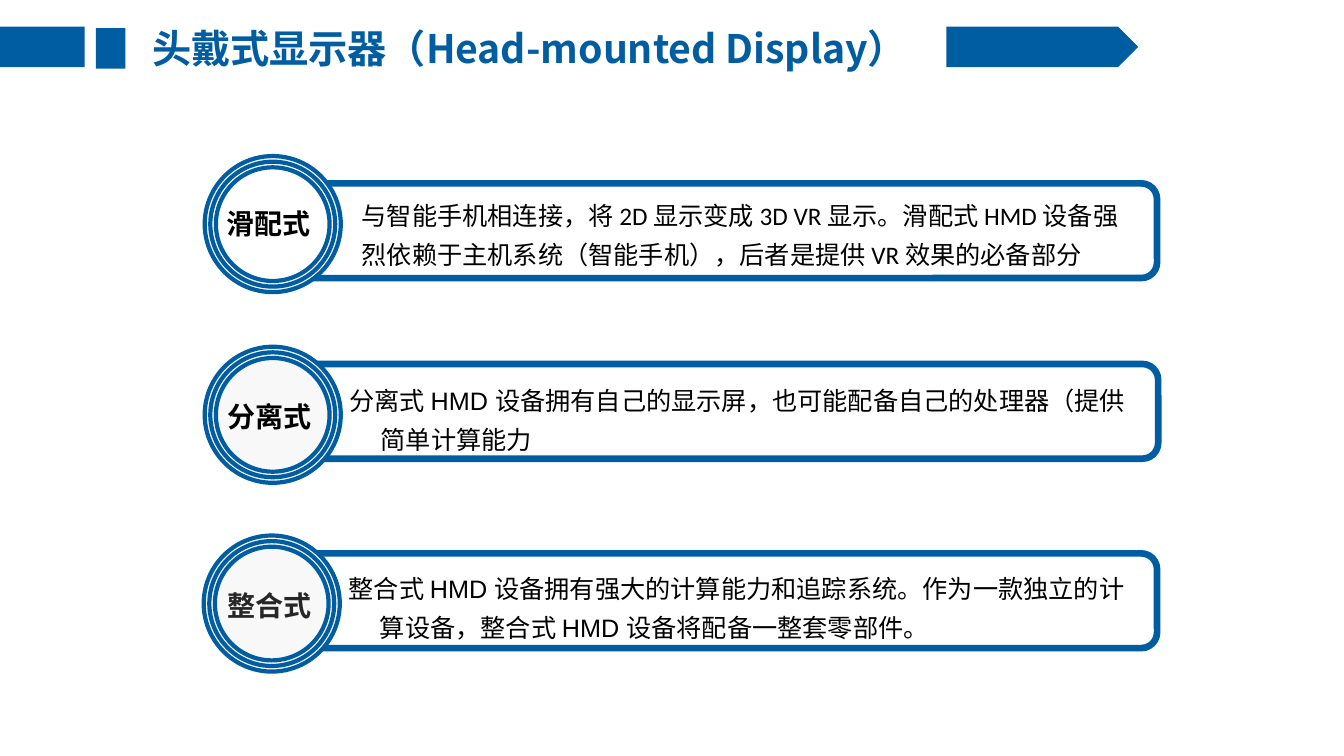
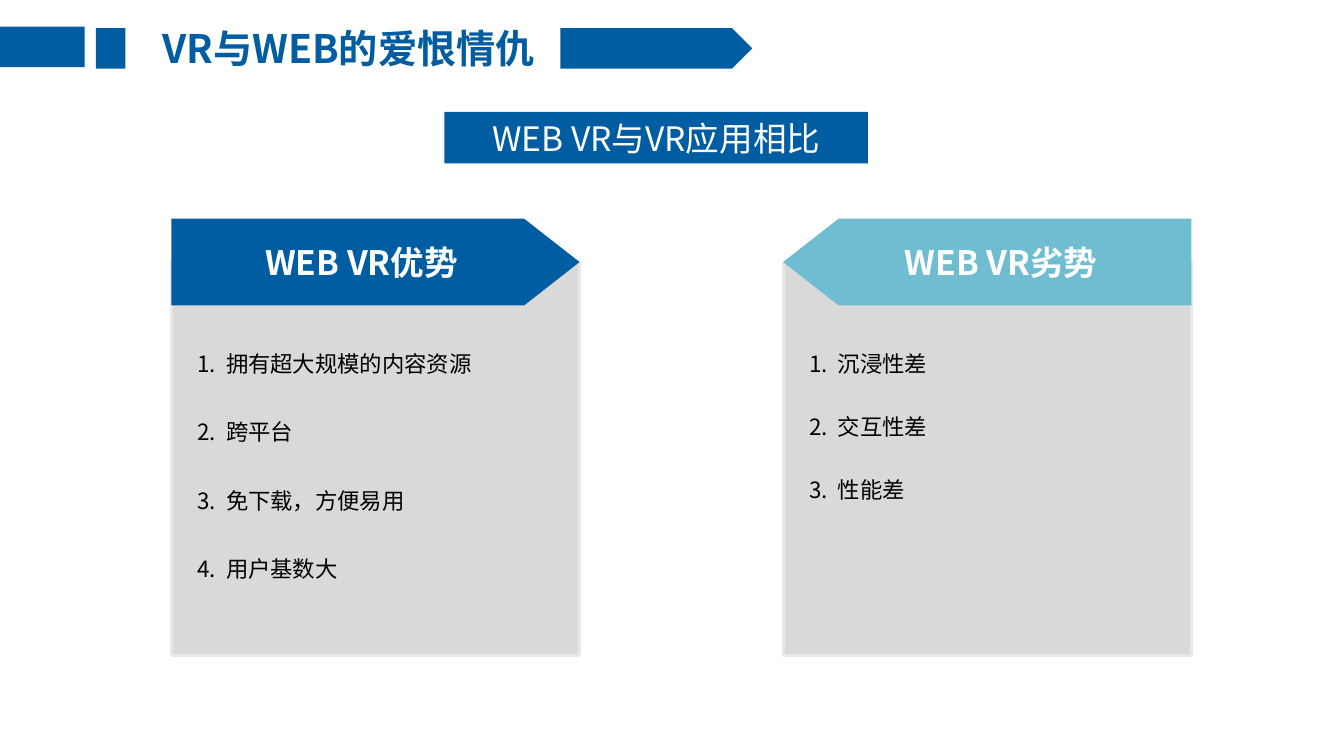
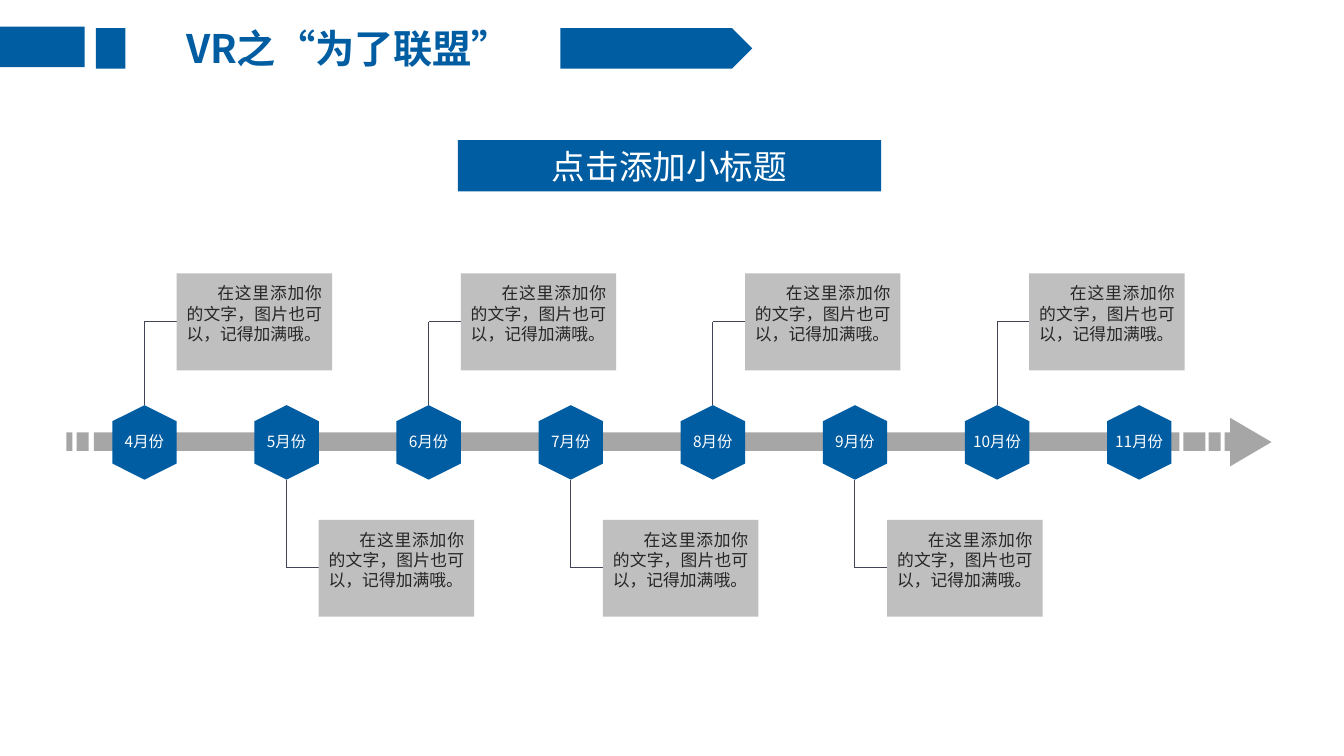
import pptx
import pptx.dml.color
import pptx.enum.shapes
import pptx.enum.text
import pptx.oxml.ns
import pptx.util
from itertools import pairwise
from lxml import etree

Pt = pptx.util.Pt
RGBColor = pptx.dml.color.RGBColor
SHAPE = pptx.enum.shapes.MSO_SHAPE
ALIGN = pptx.enum.text.PP_ALIGN
ANCHOR = pptx.enum.text.MSO_ANCHOR
qn = pptx.oxml.ns.qn

BLUE = RGBColor(0x00, 0x5D, 0xA2)
SKY = RGBColor(0x70, 0xBD, 0xD2)
WHITE = RGBColor(0xFF, 0xFF, 0xFF)
BLACK = RGBColor(0x00, 0x00, 0x00)
INK = RGBColor(0x26, 0x26, 0x26)
PALE = RGBColor(0xF8, 0xF8, 0xF8)
PANEL = RGBColor(0xD9, 0xD9, 0xD9)
PANEL_EDGE = RGBColor(0xE8, 0xE8, 0xE6)
CARD = RGBColor(0xBF, 0xBF, 0xBF)
AXIS = RGBColor(0xA6, 0xA6, 0xA6)
LEADER = RGBColor(0x41, 0x44, 0x55)
SANS = "Noto Sans CJK SC"


def write(box, text, *, size, color=BLACK, bold=False, font=SANS, align=ALIGN.LEFT,
          anchor=ANCHOR.TOP, top=3.6, line=None, gap=0, hang=0, first=0, numbered=False):
    """Put one paragraph per line of text into a box."""
    frame = box.text_frame
    frame.word_wrap = True
    frame.vertical_anchor = anchor
    frame.margin_left = frame.margin_right = Pt(7.2)
    frame.margin_top, frame.margin_bottom = Pt(top), Pt(3.6)
    for index, words in enumerate(text.split("\n")):
        para = frame.add_paragraph() if index else frame.paragraphs[0]
        para.alignment = align
        if line:
            para.line_spacing = line
        if index and gap:
            para.space_before = Pt(gap)
        properties = para._p.get_or_add_pPr()
        if hang or first:
            properties.set("marL", str(Pt(hang)))
            properties.set("indent", str(Pt(first - hang)))
        if numbered:
            etree.SubElement(properties, qn("a:buAutoNum"), type="arabicPeriod")
        span = para.add_run()
        span.text = words
        span.font.size = Pt(size)
        span.font.bold = bold
        span.font.color.rgb = color
        span.font.name = font
        etree.SubElement(span._r.get_or_add_rPr(), qn("a:ea"), typeface=SANS)


class Deck:
    def __init__(self):
        self.deck = pptx.Presentation()
        self.deck.slide_width, self.deck.slide_height = Pt(960), Pt(540)
        self.page = None

    def new_page(self, title, title_width, plate_left, plate_top):
        self.page = self.deck.slides.add_slide(self.deck.slide_layouts[6])
        self.shape(SHAPE.RECTANGLE, 0, 19, 60.5, 29, fill=BLUE)
        self.shape(SHAPE.RECTANGLE, 68.5, 20, 21, 29, fill=BLUE)
        self.shape(SHAPE.PENTAGON, plate_left, plate_top, 137, 29, fill=BLUE)
        self.text(title, 89.5, 13.7, title_width, 41, size=28, color=BLUE,
                  bold=True, align=ALIGN.CENTER)

    def shape(self, kind, left, top, width, height, fill=None, line=None, weight=1,
              rotation=0):
        shape = self.page.shapes.add_shape(kind, Pt(left), Pt(top), Pt(width), Pt(height))
        shape.shadow.inherit = False
        shape.rotation = rotation
        if fill is None:
            shape.fill.background()
        else:
            shape.fill.solid()
            shape.fill.fore_color.rgb = fill
        if line is None:
            shape.line.fill.background()
        else:
            shape.line.color.rgb = line
            shape.line.width = Pt(weight)
        return shape

    def text(self, text, left, top, width, height, **style):
        box = self.page.shapes.add_textbox(Pt(left), Pt(top), Pt(width), Pt(height))
        write(box, text, **style)

    def leader(self, *points):
        for start, end in pairwise(points):
            line = self.page.shapes.add_connector(
                pptx.enum.shapes.MSO_CONNECTOR.STRAIGHT, *map(Pt, start + end))
            line.line.color.rgb = LEADER
            line.line.width = Pt(0.75)
            etree.SubElement(line._element.spPr, qn("a:effectLst"))

    def subtitle(self, text, left, top):
        banner = self.shape(SHAPE.RECTANGLE, left, top, 302.5, 36.7, fill=BLUE)
        write(banner, text, size=24, color=WHITE, align=ALIGN.CENTER, anchor=ANCHOR.MIDDLE)

    def medallion(self, left, top, inner):
        for inset, fill in ((0, PALE), (4, inner), (8, None)):
            side = 97.2 - 2 * inset
            self.shape(SHAPE.OVAL, left + inset, top + inset, side, side, fill, BLUE, 3)

    def panel(self, left, heading, color, items, gap, flipped=False):
        self.shape(SHAPE.RECTANGLE, left, 187.2, 291.6, 281, PANEL, PANEL_EDGE, 2)
        banner = self.shape(SHAPE.PENTAGON, left, 156.2, 291.6, 62, fill=color)
        banner.adjustments[0] = 0.64
        if flipped:
            banner._element.spPr.find(qn("a:xfrm")).set("flipH", "1")
        write(banner, heading, size=24, color=WHITE, bold=True, align=ALIGN.CENTER,
              anchor=ANCHOR.MIDDLE)
        self.text("\n".join(items), left + 11.5, 240.5, 280, 195, size=16, line=1.3,
                  gap=gap, hang=20.5, numbered=True)

    def month(self, center, name):
        self.shape(SHAPE.HEXAGON, center - 26.6, 293, 53.2, 46, fill=BLUE, rotation=90)
        self.text(name, center - 28.5, 305.3, 57, 21, size=11, color=WHITE,
                  align=ALIGN.CENTER)

    def card(self, left, top, text):
        card = self.shape(SHAPE.RECTANGLE, left, top, 111, 69.2, fill=CARD)
        write(card, text, size=12, color=INK, align=ALIGN.JUSTIFY, top=6.9, first=22)


def headset_page(deck):
    deck.new_page("头戴式显示器（Head-mounted Display）", 577.5, 676, 19)
    hanging = dict(font="Arial", hang=22.3)
    rows = (
        # card left and top, circle left and top, circle fill, label left and top, ...
        (213, 131, 146.2, 111.5, WHITE, "滑配式", 154.9, 144, BLACK,
         "与智能手机相连接，将 2D 显示变成 3D VR 显示。滑配式 HMD 设备强烈依赖于主机系统"
         "（智能手机），后者是提供 VR 效果的必备部分", 251.3, 133.2, 562.5,
         dict(font="Calibri")),
        (213.8, 260, 146.2, 247.7, None, "分离式", 155.5, 281.5, BLACK,
         "分离式 HMD 设备拥有自己的显示屏，也可能配备自己的处理器（提供简单计算能力",
         242.6, 265, 584, hanging),
        (213, 395.3, 145.5, 382.5, None, "整合式", 155.5, 417, INK,
         "整合式 HMD 设备拥有强大的计算能力和追踪系统。作为一款独立的计算设备，"
         "整合式 HMD 设备将配备一整套零部件。", 242, 399.6, 584, hanging),
    )
    for (left, top, ring_left, ring_top, inner, name, name_left, name_top, name_color,
         words, words_left, words_top, words_width, style) in rows:
        deck.shape(SHAPE.ROUNDED_RECTANGLE, left, top, 613.5, 67.7, line=BLUE, weight=4.75)
        deck.medallion(ring_left, ring_top, inner)
        deck.text(name, name_left, name_top, 90, 31.5, size=20, bold=True, color=name_color)
        deck.text(words, words_left, words_top, words_width, 64, size=18, line=1.3, **style)


def comparison_page(deck):
    deck.new_page("VR与WEB的爱恨情仇", 319, 400.3, 20)
    deck.subtitle("WEB VR与VR应用相比", 317.5, 80)
    deck.panel(122.4, "WEB VR优势", BLUE,
               ("拥有超大规模的内容资源", "跨平台", "免下载，方便易用", "用户基数大"), 24)
    deck.panel(559.4, "WEB VR劣势", SKY, ("沉浸性差", "交互性差", "性能差"), 20.4,
               flipped=True)


def timeline_page(deck):
    deck.new_page("VR之“为了联盟”", 319, 400.3, 20)
    deck.subtitle("点击添加小标题", 327, 100)

    # Broken axis with its arrowhead
    for left, width in ((47.5, 4.3), (54.7, 8.6), (67, 15.8), (85.7, 756.7),
                        (845.3, 15.8), (863.3, 8.6), (874.8, 4.3)):
        deck.shape(SHAPE.RECTANGLE, left, 308.9, width, 13.2, fill=AXIS)
    deck.shape(SHAPE.ISOSCELES_TRIANGLE, 876.2, 301, 34.6, 29.5, fill=AXIS, rotation=90)

    # Months, with cards above and below in turn; the last month has none
    for index in range(8):
        center = 103.2 + 101.5 * index
        if index < 7:
            above = index % 2 == 0
            card_top, tip = (195.3, 289.4) if above else (371.3, 342.7)
            elbow = card_top + 34.4
            deck.leader((center, tip), (center, elbow), (center + 23, elbow))
            deck.card(center + 23, card_top, "在这里添加你的文字，图片也可以，记得加满哦。")
        deck.month(center, f"{index + 4}月份")


def main():
    deck = Deck()
    headset_page(deck)
    comparison_page(deck)
    timeline_page(deck)
    deck.deck.save("out.pptx")


if __name__ == "__main__":
    main()
